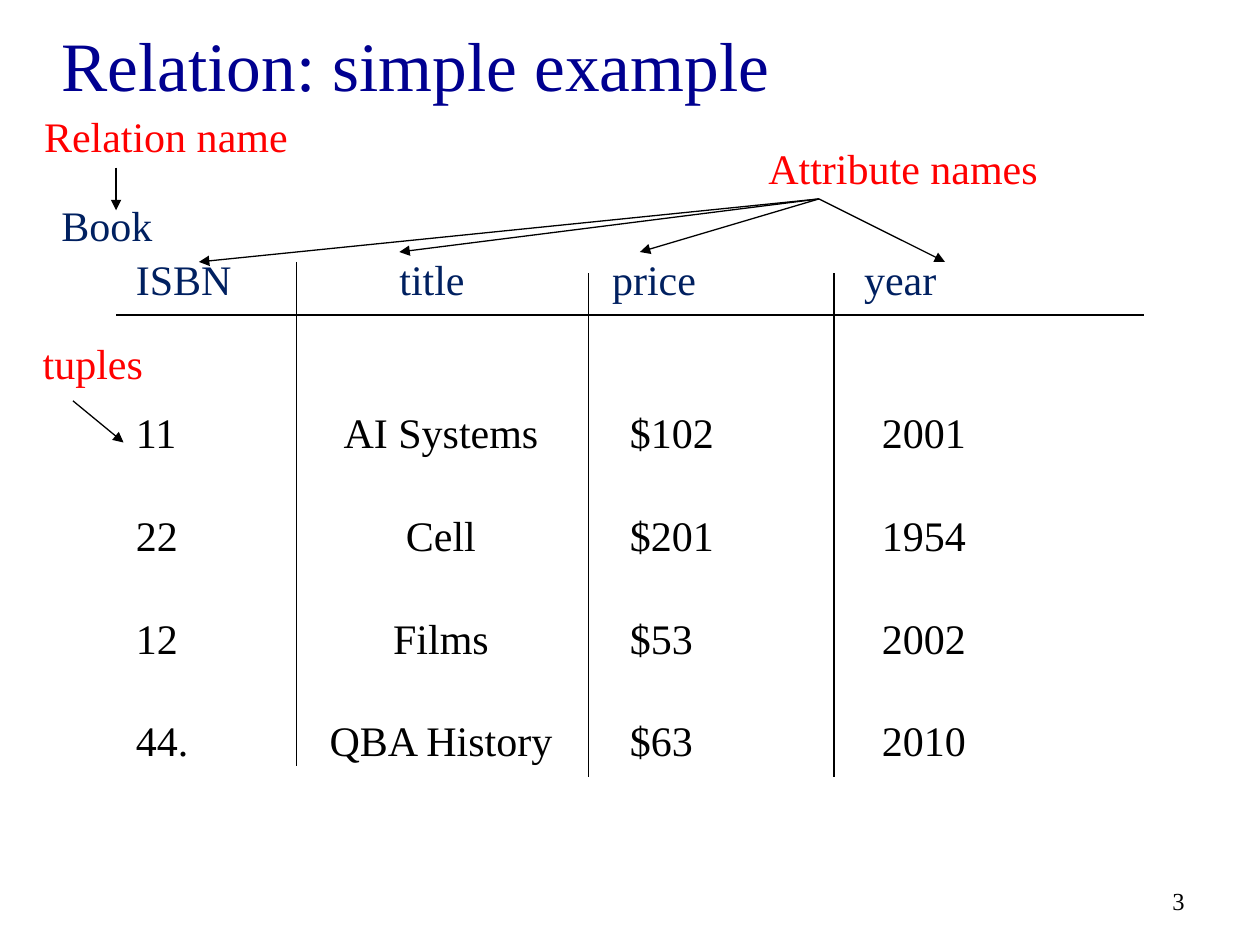
"""Build a slide that labels the parts of a simple relation."""
from lxml.etree import SubElement
from pptx import Presentation
from pptx.dml.color import RGBColor
from pptx.enum.shapes import MSO_CONNECTOR
from pptx.enum.text import MSO_ANCHOR, PP_ALIGN
from pptx.oxml.ns import qn
from pptx.util import Cm, Pt

FONT = "Times New Roman"
BLACK = RGBColor(0x00, 0x00, 0x00)
RED = RGBColor(0xFF, 0x00, 0x00)
NAVY = RGBColor(0x00, 0x20, 0x60)
TITLE_BLUE = RGBColor(0x00, 0x00, 0x90)

TITLE = "Relation: simple example"
HEADER = ("ISBN", "title", "price", "year")
TUPLES = [
    ("11", "AI Systems", "$102", "2001"),
    ("22", "Cell", "$201", "1954"),
    ("12", "Films", "$53", "2002"),
    ("44.", "QBA History", "$63", "2010"),
]
HEADER_TABS = [(5.97, "ctr"), (9.6, "l"), (14.68, "l")]
TUPLE_TABS = [(6.15, "ctr"), (9.96, "l"), (15.04, "l")]
FIRST_GAP, TUPLE_GAP = Pt(58.7), Pt(30)

LABELS = [
    ("tuples", RED, (0.61, 6.68, 2.54, 1.27)),
    ("Attribute names", RED, (15.24, 2.74, 5.94, 1.27)),
    ("Relation name", RED, (0.64, 2.11, 8.46, 1.3)),
    ("Book", NAVY, (0.99, 3.89, 2.36, 1.27)),
]
RULES = [
    (2.34, 6.35, 23.06, 6.35),
    (5.97, 5.28, 5.97, 15.44),
    (11.86, 5.51, 11.86, 15.67),
    (16.81, 5.51, 16.81, 15.67),
]
ATTRIBUTE_ORIGIN = (16.51, 4.01)
ATTRIBUTE_TARGETS = [(4.01, 5.28), (8.05, 5.08), (12.9, 5.08), (19.05, 5.28)]
LABEL_ARROWS = [(2.34, 3.38, 2.34, 4.24), (1.47, 8.08, 2.49, 8.92)]


def format_runs(paragraph, color, size=24):
    for run in paragraph.runs:
        run.font.name = FONT
        run.font.size = Pt(size)
        run.font.color.rgb = color


def add_text(slide, text, color, box, size=24, wrap=False):
    text_frame = slide.shapes.add_textbox(*map(Cm, box)).text_frame
    text_frame.word_wrap = wrap
    text_frame.text = text
    format_runs(text_frame.paragraphs[0], color, size)
    return text_frame


def set_tabs(paragraph, tabs):
    tab_list = SubElement(paragraph._p.get_or_add_pPr(), qn("a:tabLst"))
    for position, alignment in tabs:
        SubElement(tab_list, qn("a:tab"), pos=str(int(Cm(position))), algn=alignment)


def add_line(slide, ends, arrow=False):
    line = slide.shapes.add_connector(MSO_CONNECTOR.STRAIGHT, *map(Cm, ends))
    line.line.color.rgb = BLACK
    line.line.width = Pt(0.75)
    if arrow:
        SubElement(line.line._get_or_add_ln(), qn("a:tailEnd"), type="triangle")
    SubElement(line._element.spPr, qn("a:effectLst"))


def add_title(slide):
    title = slide.shapes.title
    title.left, title.top, title.width, title.height = map(Cm, (0.99, 0.43, 21.59, 1.7))
    text_frame = title.text_frame
    text_frame.text = TITLE
    text_frame.vertical_anchor = MSO_ANCHOR.MIDDLE
    text_frame.paragraphs[0].alignment = PP_ALIGN.LEFT
    format_runs(text_frame.paragraphs[0], TITLE_BLUE, 39.6)


def add_relation(slide):
    text_frame = add_text(slide, "\t".join(HEADER), NAVY, (2.49, 4.98, 19.5, 10.52), wrap=True)
    set_tabs(text_frame.paragraphs[0], HEADER_TABS)
    for index, values in enumerate(TUPLES):
        paragraph = text_frame.add_paragraph()
        paragraph.text = "\t".join(values)
        paragraph.space_before = TUPLE_GAP if index else FIRST_GAP
        set_tabs(paragraph, TUPLE_TABS)
        format_runs(paragraph, BLACK)


def main():
    presentation = Presentation()
    presentation.slide_width, presentation.slide_height = Cm(25.4), Cm(19.05)
    slide = presentation.slides.add_slide(presentation.slide_layouts[5])
    add_title(slide)
    add_relation(slide)
    for text, color, box in LABELS:
        add_text(slide, text, color, box)
    for ends in RULES:
        add_line(slide, ends)
    for target in ATTRIBUTE_TARGETS:
        add_line(slide, ATTRIBUTE_ORIGIN + target, arrow=True)
    for ends in LABEL_ARROWS:
        add_line(slide, ends, arrow=True)
    number = add_text(slide, "3", BLACK, (18.21, 17.65, 5.92, 1.02), size=14, wrap=True)
    number.vertical_anchor = MSO_ANCHOR.MIDDLE
    number.paragraphs[0].alignment = PP_ALIGN.RIGHT
    presentation.save("out.pptx")


if __name__ == "__main__":
    main()
